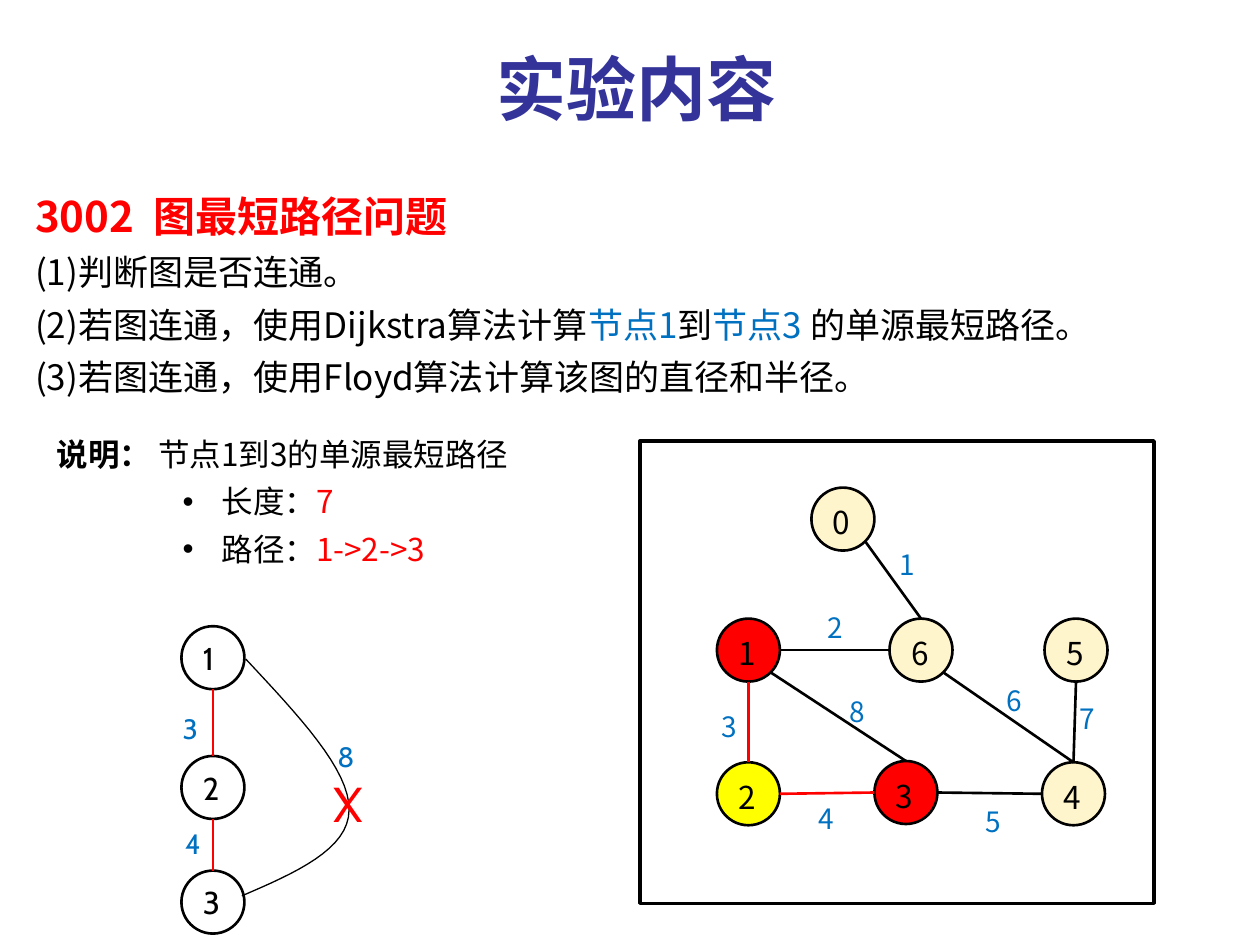
from math import cos, radians, sin

from lxml.etree import SubElement
from pptx import Presentation
from pptx.dml.color import RGBColor
from pptx.enum.shapes import MSO_CONNECTOR, MSO_SHAPE
from pptx.enum.text import MSO_ANCHOR, PP_ALIGN
from pptx.oxml.ns import qn
from pptx.util import Inches, Pt

BLACK = RGBColor(0x00, 0x00, 0x00)
WHITE = RGBColor(0xFF, 0xFF, 0xFF)
RED = RGBColor(0xFF, 0x00, 0x00)
YELLOW = RGBColor(0xFF, 0xFF, 0x00)
CREAM = RGBColor(0xFF, 0xF5, 0xCC)
BLUE = RGBColor(0x00, 0x70, 0xC0)
INDIGO = RGBColor(0x33, 0x33, 0x99)

SANS = "Noto Sans CJK SC"
CABIN = "Cabin"

NODE_SIZE = 0.5
RIGHT, BOTTOM_RIGHT, BOTTOM, LEFT, TOP = 0, 45, 90, 180, 270  # degrees, clockwise

GRAPH_NODES = {  # name: (left, top, fill)
    "0": (6.44, 3.87, CREAM),
    "1": (5.69, 4.91, RED),
    "3": (6.94, 6.04, RED),
    "6": (7.06, 4.91, CREAM),
    "2": (5.69, 6.05, YELLOW),
    "4": (8.27, 6.05, CREAM),
    "5": (8.29, 4.91, CREAM),
}
GRAPH_EDGES = [  # from, side, to, side, colour, weight, label left, label top
    ("1", BOTTOM, "2", TOP, RED, "3", 5.63, 5.58),
    ("3", LEFT, "2", RIGHT, RED, "4", 6.4, 6.31),
    ("4", LEFT, "3", RIGHT, BLACK, "5", 7.72, 6.34),
    ("0", BOTTOM_RIGHT, "6", TOP, BLACK, "1", 7.04, 4.3),
    ("6", LEFT, "1", RIGHT, BLACK, "2", 6.47, 4.8),
    ("5", BOTTOM, "4", TOP, BLACK, "7", 8.47, 5.52),
    ("3", TOP, "1", BOTTOM_RIGHT, BLACK, "8", 6.64, 5.46),
    ("4", TOP, "6", BOTTOM_RIGHT, BLACK, "6", 7.89, 5.38),
]
PATH_NODES = {
    "1": (1.44, 4.97, WHITE),
    "2": (1.44, 6, WHITE),
    "3": (1.44, 6.91, WHITE),
}
PATH_EDGES = [
    ("2", TOP, "1", BOTTOM, RED, "3", 1.35, 5.6),
    ("3", TOP, "2", BOTTOM, RED, "4", 1.37, 6.51),
]
DETOUR = [
    [(1.95, 5.23), (2.36, 5.67), (2.78, 6.11), (2.77, 6.43)],
    [(2.77, 6.43), (2.77, 6.74), (2.34, 6.93), (1.92, 7.11)],
]


def add_run(paragraph, text, size, color, font=SANS, bold=False):
    run = paragraph.add_run()
    run.text = text
    run.font.size = Pt(size)
    run.font.bold = bold
    run.font.color.rgb = color
    run.font.name = font
    SubElement(run._r.get_or_add_rPr(), qn("a:ea")).set("typeface", font)


def add_text_box(shapes, left, top, width, height, wrap=True):
    box = shapes.add_textbox(Inches(left), Inches(top), Inches(width), Inches(height))
    box.text_frame.word_wrap = wrap
    return box.text_frame


def add_paragraphs(text_frame, rows):
    """Add justified paragraphs, each a list of (text, size, colour, bold) runs."""
    for index, runs in enumerate(rows):
        paragraph = text_frame.paragraphs[0] if index == 0 else text_frame.add_paragraph()
        paragraph.alignment = PP_ALIGN.JUSTIFY
        paragraph.line_spacing = 1.25
        for text, size, color, bold in runs:
            add_run(paragraph, text, size, color, bold=bold)


def indent(paragraph, margin, first_line=0, bullet=None):
    properties = paragraph._p.get_or_add_pPr()
    properties.set("marL", str(Inches(margin)))
    properties.set("indent", str(Inches(first_line)))
    if bullet:
        SubElement(properties, qn("a:buFont")).set("typeface", "Arial")
        SubElement(properties, qn("a:buChar")).set("char", bullet)


def style_shape(shape, fill, line_width):
    shape.shadow.inherit = False
    shape.fill.solid()
    shape.fill.fore_color.rgb = fill
    shape.line.color.rgb = BLACK
    shape.line.width = Pt(line_width)


def add_node(shapes, name, left, top, fill, font):
    node = shapes.add_shape(MSO_SHAPE.OVAL, Inches(left), Inches(top),
                            Inches(NODE_SIZE), Inches(NODE_SIZE))
    style_shape(node, fill, 1.5)
    text_frame = node.text_frame
    text_frame.word_wrap = False
    text_frame.vertical_anchor = MSO_ANCHOR.MIDDLE
    if font == SANS:
        text_frame.margin_top = Inches(0.1)
    paragraph = text_frame.paragraphs[0]
    paragraph.alignment = PP_ALIGN.LEFT
    add_run(paragraph, name, 18, BLACK, font)


def add_label(shapes, text, left, top, font):
    text_frame = add_text_box(shapes, left, top, 0.61, 0.37)
    add_run(text_frame.paragraphs[0], text, 16, BLUE, font)


def rim_point(node, angle):
    """Point on a node's outline in the given direction."""
    radius = NODE_SIZE / 2
    left, top, _ = node
    return (Inches(left + radius + radius * cos(radians(angle))),
            Inches(top + radius + radius * sin(radians(angle))))


def add_edge(shapes, start, end, color):
    connector = shapes.add_connector(MSO_CONNECTOR.STRAIGHT, *start, *end)
    connector.line.color.rgb = color
    connector.line.width = Pt(1.5)
    SubElement(connector._element.spPr, qn("a:effectLst"))


def add_graph(shapes, nodes, edges, font):
    for name, (left, top, fill) in nodes.items():
        add_node(shapes, name, left, top, fill, font)
    for source, source_side, target, target_side, color, weight, left, top in edges:
        add_edge(shapes, rim_point(nodes[source], source_side),
                 rim_point(nodes[target], target_side), color)
        add_label(shapes, weight, left, top, font)


def bezier_points(controls, steps=16):
    """Points along a cubic curve after its start, in EMU."""
    for step in range(1, steps + 1):
        t = step / steps
        weights = ((1 - t) ** 3, 3 * t * (1 - t) ** 2, 3 * t * t * (1 - t), t ** 3)
        yield tuple(Inches(sum(w * point[axis] for w, point in zip(weights, controls)))
                    for axis in (0, 1))


def add_curve(shapes, segments):
    start_x, start_y = segments[0][0]
    builder = shapes.build_freeform(Inches(start_x), Inches(start_y))
    for controls in segments:
        builder.add_line_segments(list(bezier_points(controls)), close=False)
    curve = builder.convert_to_shape()
    curve.shadow.inherit = False
    curve.fill.background()
    curve.line.color.rgb = BLACK
    curve.line.width = Pt(0.75)


def add_title(shapes):
    text_frame = add_text_box(shapes, 0.83, 0.25, 8.44, 0.83)
    text_frame.vertical_anchor = MSO_ANCHOR.BOTTOM
    paragraph = text_frame.paragraphs[0]
    paragraph.alignment = PP_ALIGN.CENTER
    add_run(paragraph, "实验内容", 40, INDIGO, bold=True)


def add_task(shapes):
    add_paragraphs(add_text_box(shapes, 0.18, 1.36, 9.74, 1.9), [
        [("3002  图最短路径问题", 24, RED, True)],
        [("(1)判断图是否连通。", 20, BLACK, False)],
        [("(2)若图连通，使用Dijkstra算法计算", 20, BLACK, False),
         ("节点1", 20, BLUE, False), ("到", 20, BLACK, False),
         ("节点3 ", 20, BLUE, False), ("的单源最短路径。", 20, BLACK, False)],
        [("(3)若图连通，使用Floyd算法计算该图的直径和半径。", 20, BLACK, False)],
    ])


def add_explanation(shapes):
    text_frame = add_text_box(shapes, -0.09, 3.33, 5.08, 1.24)
    add_paragraphs(text_frame, [
        [("说明： ", 18, BLACK, True), ("节点1到3的单源最短路径", 18, BLACK, False)],
        [("长度：", 18, BLACK, False), ("7", 18, RED, False)],
        [("路径：", 18, BLACK, False), ("1->2->3", 18, RED, False)],
    ])
    heading, *items = text_frame.paragraphs
    indent(heading, 0.44)
    for item in items:
        indent(item, 1.75, -0.31, "•")


def main():
    presentation = Presentation()
    presentation.slide_width, presentation.slide_height = Inches(10), Inches(7.5)
    shapes = presentation.slides.add_slide(presentation.slide_layouts[6]).shapes

    add_title(shapes)
    add_task(shapes)
    add_explanation(shapes)

    add_graph(shapes, PATH_NODES, PATH_EDGES, CABIN)
    add_curve(shapes, DETOUR)
    add_label(shapes, "8", 2.58, 5.82, CABIN)
    cross = add_text_box(shapes, 2.55, 6.09, 0.43, 0.57, wrap=False)
    add_run(cross.paragraphs[0], "X", 28, RED, CABIN)

    graph = shapes.add_group_shape().shapes
    frame = graph.add_shape(MSO_SHAPE.RECTANGLE, Inches(5.08), Inches(3.5),
                            Inches(4.08), Inches(3.67))
    style_shape(frame, WHITE, 2)
    add_graph(graph, GRAPH_NODES, GRAPH_EDGES, SANS)

    presentation.save("out.pptx")


if __name__ == "__main__":
    main()
